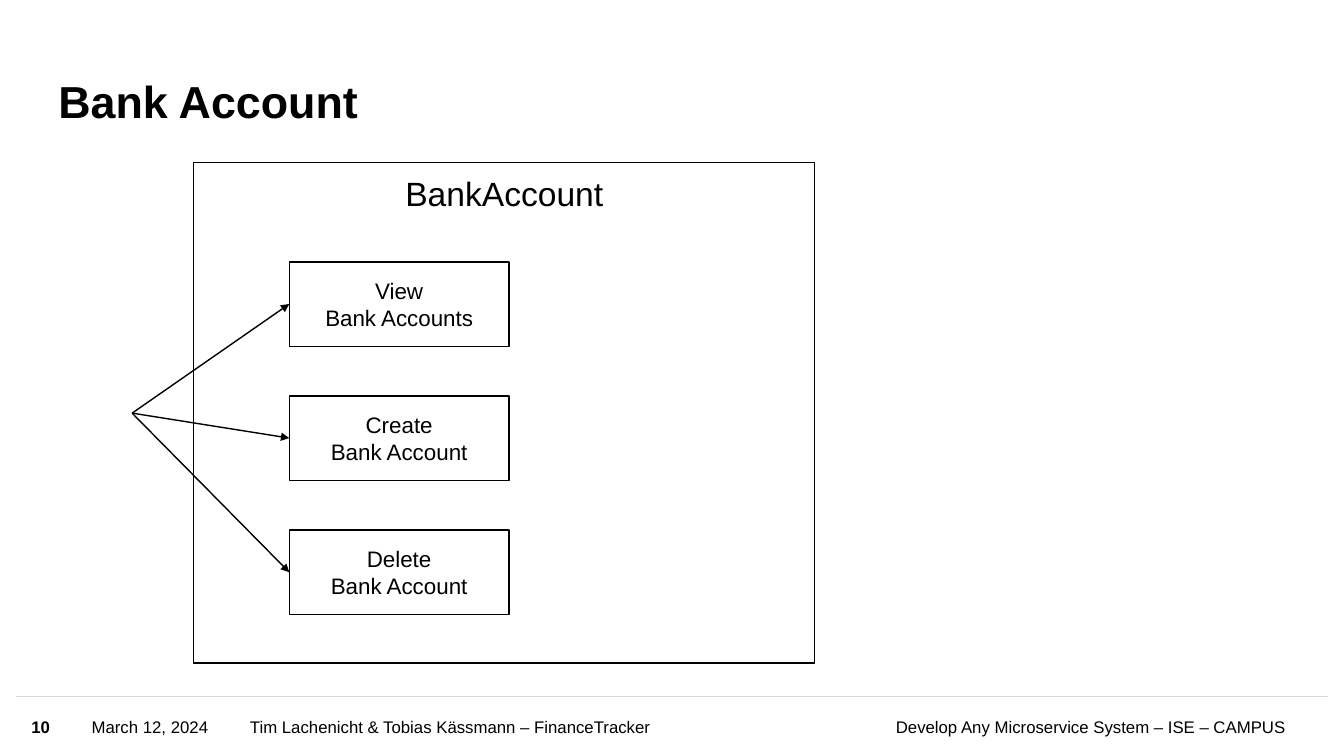
from lxml import etree
from pptx import Presentation
from pptx import util as u
from pptx.dml.color import RGBColor
from pptx.enum import shapes, text
from pptx.oxml.ns import qn

BLACK = "000000"
GREY = "D9D9D9"
LEFT, CENTER, RIGHT = text.PP_ALIGN.LEFT, text.PP_ALIGN.CENTER, text.PP_ALIGN.RIGHT
MIDDLE = text.MSO_ANCHOR.MIDDLE


def colour(value):
    return RGBColor.from_string(value)


def place(box):
    return [u.Cm(round(length, 2)) for length in box]


def write(frame, words, size, align=LEFT, bold=False):
    frame.text = words
    for paragraph in frame.paragraphs:
        paragraph.alignment = align
        for span in paragraph.runs:
            span.font.name = "Arial"
            span.font.size = u.Pt(size)
            span.font.bold = bold
            span.font.color.rgb = colour(BLACK)


def clear_margins(frame):
    frame.margin_left = frame.margin_top = frame.margin_right = frame.margin_bottom = 0


def add_label(page, box, words, size, align=LEFT, bold=False):
    frame = page.shapes.add_textbox(*place(box)).text_frame
    frame.word_wrap = True
    frame.vertical_anchor = MIDDLE
    clear_margins(frame)
    write(frame, words, size, align, bold)


def add_rectangle(page, box):
    rectangle = page.shapes.add_shape(shapes.MSO_SHAPE.RECTANGLE, *place(box))
    rectangle.shadow.inherit = False
    rectangle.fill.background()
    rectangle.line.color.rgb = colour(BLACK)
    rectangle.line.width = u.Pt(1)
    return rectangle


def add_line(page, start, end, line_colour=BLACK, arrow=False):
    line = page.shapes.add_connector(
        shapes.MSO_CONNECTOR.STRAIGHT, *place(start), *place(end))
    line.line.color.rgb = colour(line_colour)
    line.line.width = u.Pt(1)
    if arrow:
        etree.SubElement(line.line._get_or_add_ln(), qn("a:tailEnd"), type="triangle")
    etree.SubElement(line._element.spPr, qn("a:effectLst"))


def add_title(page, box):
    title = page.shapes.title
    title.left, title.top, title.width, title.height = place(box)
    frame = title.text_frame
    frame.word_wrap = True
    frame.auto_size = text.MSO_AUTO_SIZE.NONE
    frame.vertical_anchor = text.MSO_ANCHOR.BOTTOM
    clear_margins(frame)
    write(frame, "Bank Account", 32, bold=True)
    frame.paragraphs[0].line_spacing = 0.9


def add_footer(page, box):
    left, top, width, height = box
    add_line(page, (left, top), (left + width, top), GREY)
    labels = [
        (0.38, 1.22, "10", LEFT, True),
        (1.9, 3.81, "March 12, 2024", LEFT, False),
        (5.89, 13.64, "Tim Lachenicht & Tobias Kässmann – FinanceTracker", LEFT, False),
        (19.99, 12.01, "Develop Any Microservice System – ISE – CAMPUS", RIGHT, False),
    ]
    for offset, label_width, words, align, bold in labels:
        add_label(page, (left + offset, top + 0.03, label_width, height),
                  words, 12, align, bold)


def add_use_cases(page, box):
    left, top, width, height = box
    add_rectangle(page, box)
    heading = page.shapes.add_textbox(
        *place((left + width / 2 - 2.78, top + 0.15, 5.56, 1.28)))
    heading.text_frame.word_wrap = False
    write(heading.text_frame, "BankAccount", 24, CENTER)

    actor = (left - 1.55, top + 6.32)
    case_left, case_width, case_height, pitch = left + 2.41, 5.54, 2.13, 3.38
    cases = ["View\nBank Accounts", "Create\nBank Account", "Delete\nBank Account"]
    for index, words in enumerate(cases):
        case_top = top + 2.51 + index * pitch
        case = add_rectangle(page, (case_left, case_top, case_width, case_height))
        case.text_frame.vertical_anchor = MIDDLE
        write(case.text_frame, words, 16, CENTER)
        add_line(page, actor, (case_left, case_top + case_height / 2), arrow=True)


def main():
    deck = Presentation()
    deck.slide_width, deck.slide_height = u.Cm(33.87), u.Cm(19.05)
    page = deck.slides.add_slide(deck.slide_layouts[5])
    add_footer(page, (0.41, 17.55, 33.07, 1.47))
    add_title(page, (1.47, 1.09, 25.45, 2.13))
    add_use_cases(page, (4.88, 4.09, 15.65, 12.62))
    deck.save("out.pptx")


if __name__ == "__main__":
    main()
